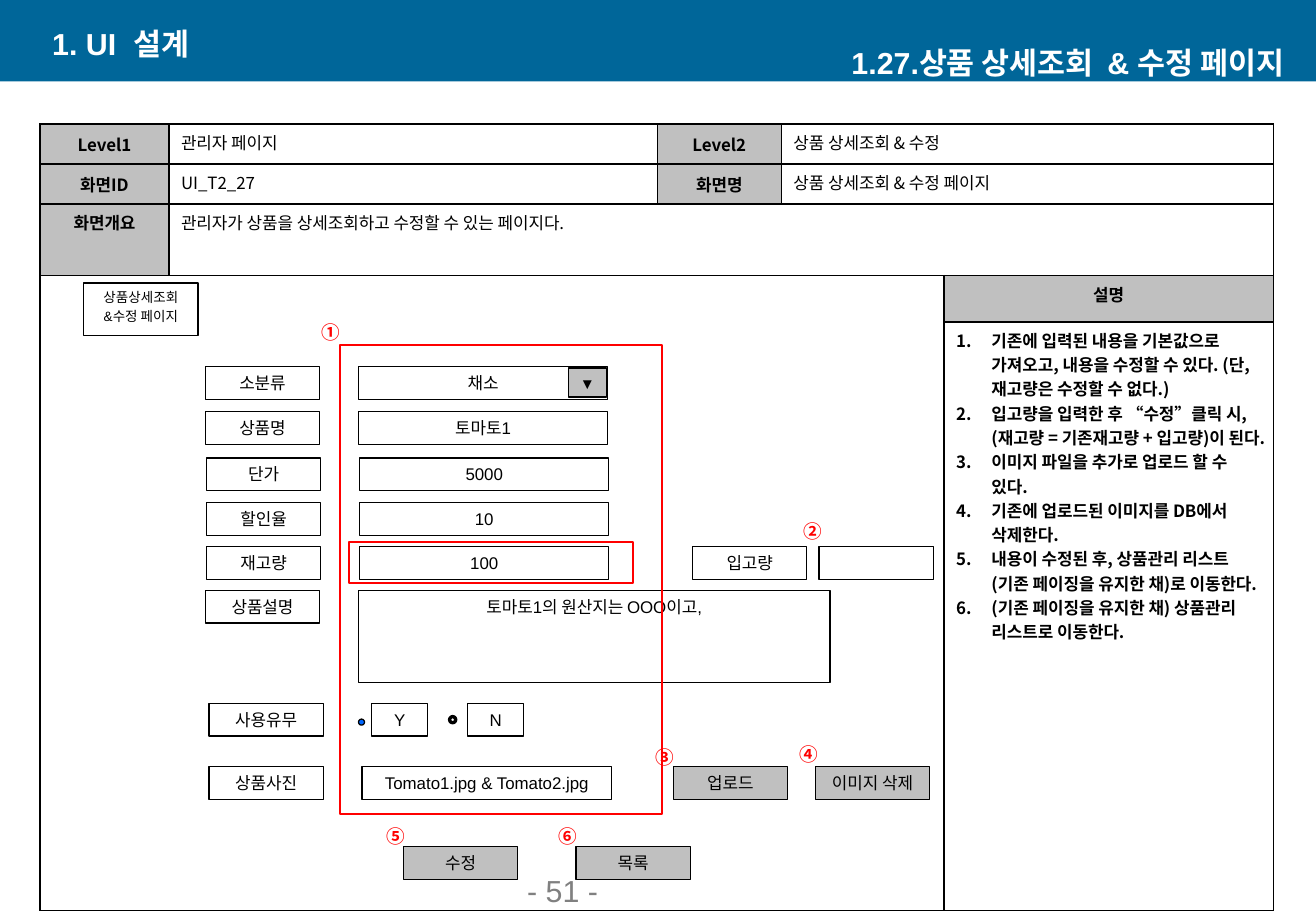
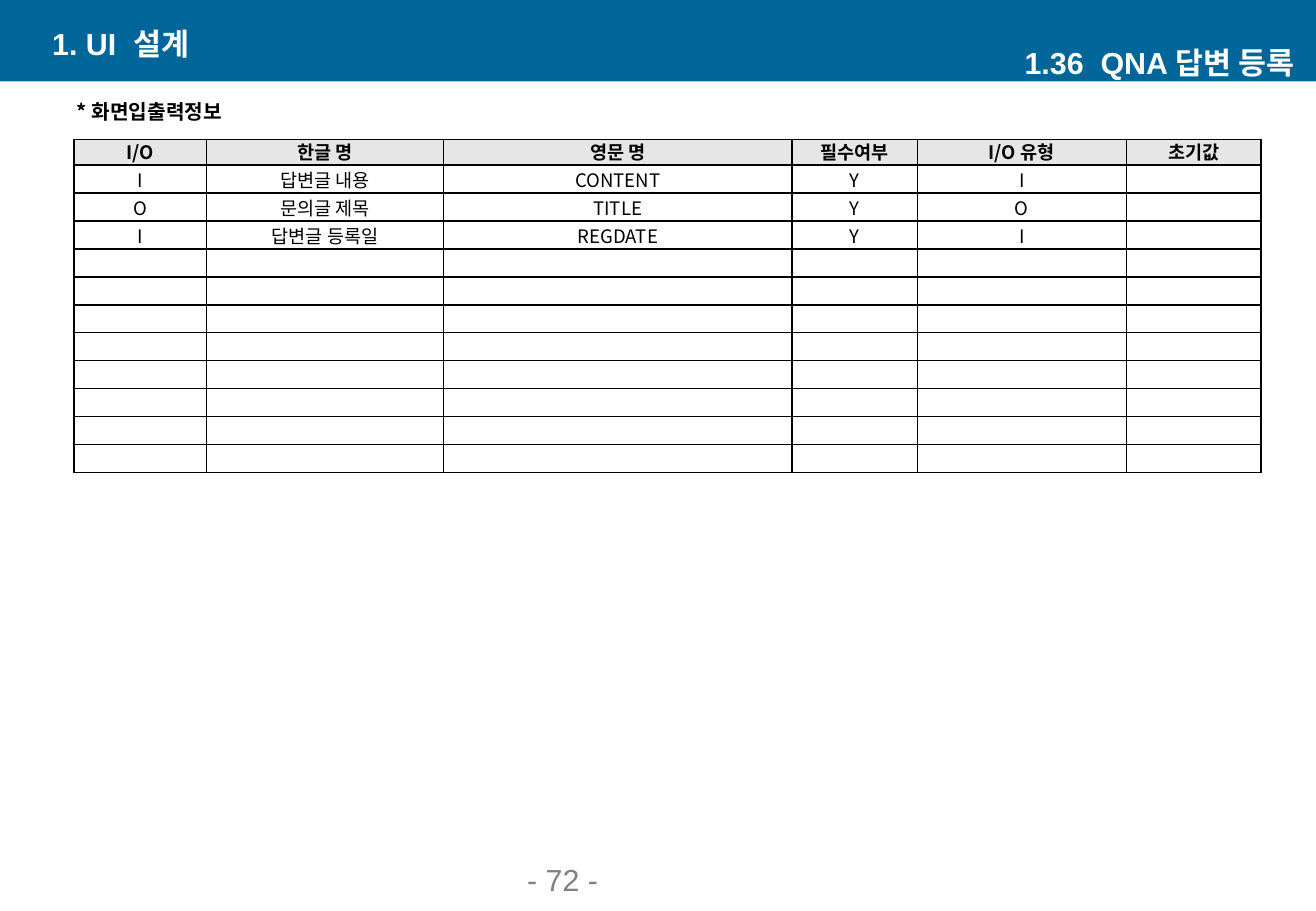
from lxml import etree
from pptx import Presentation
from pptx.dml.color import RGBColor
from pptx.enum.shapes import MSO_SHAPE
from pptx.enum.text import MSO_ANCHOR, MSO_AUTO_SIZE, PP_ALIGN
from pptx.oxml.ns import qn
from pptx.util import Inches, Pt

RECT, OVAL = MSO_SHAPE.RECTANGLE, MSO_SHAPE.OVAL
LEFT, CENTER, RIGHT = PP_ALIGN.LEFT, PP_ALIGN.CENTER, PP_ALIGN.RIGHT
TOP, MIDDLE, BOTTOM = MSO_ANCHOR.TOP, MSO_ANCHOR.MIDDLE, MSO_ANCHOR.BOTTOM
NO_AUTOFIT = MSO_AUTO_SIZE.NONE

ARIAL, NOTO = "Arial", "Noto Sans CJK KR"
BLUE, RED, BLACK, WHITE = "006699", "FF0000", "000000", "FFFFFF"
GRAY, PALE, PAGE_GRAY = "C0C0C0", "E6E6E6", "808080"
WIDTH, HEIGHT = 10.83, 7.5


def rgb(value):
    return RGBColor.from_string(value)


class Deck:
    """Holds the shared style and the slide being filled."""

    def __init__(self):
        self.prs = Presentation()
        self.prs.slide_width = Inches(WIDTH)
        self.prs.slide_height = Inches(HEIGHT)
        self.s = None

    def put_text(self, tf, lines, size=10, color=BLACK, bold=False, font=ARIAL,
                 numbered=False, **para):
        """Set lines as paragraphs; para holds paragraph attributes."""
        lines = [lines] if isinstance(lines, str) else lines
        for i, line in enumerate(lines):
            p = tf.paragraphs[0] if i == 0 else tf.add_paragraph()
            if numbered:
                pPr = p._p.get_or_add_pPr()
                pPr.set("marL", str(Inches(0.29)))
                pPr.set("indent", str(-Inches(0.29)))
                etree.SubElement(pPr, qn("a:buFont")).set("typeface", "+mj-lt")
                etree.SubElement(pPr, qn("a:buAutoNum")).set("type", "arabicPeriod")
            for name, value in para.items():
                if i or name != "space_before":
                    setattr(p, name, value)
            r = p.add_run()
            r.text = line
            for name, value in dict(size=Pt(size), bold=bold, name=font).items():
                setattr(r.font, name, value)
            r.font.color.rgb = rgb(color)
            etree.SubElement(r._r.get_or_add_rPr(), qn("a:ea")).set("typeface", NOTO)

    def frame(self, tf, anchor=TOP, wrap=True, margin_right=0.1):
        settings = dict(auto_size=NO_AUTOFIT, vertical_anchor=anchor, word_wrap=wrap,
                        margin_left=Inches(0.1), margin_right=Inches(margin_right),
                        margin_top=Inches(0.05), margin_bottom=Inches(0.05))
        for name, value in settings.items():
            setattr(tf, name, value)

    def shape(self, x, y, w, h, kind=RECT, fill=None, line=BLACK, weight=0.75):
        sp = self.s.shapes.add_shape(kind, Inches(x), Inches(y), Inches(w), Inches(h))
        sp.shadow.inherit = False
        if fill:
            sp.fill.solid()
            sp.fill.fore_color.rgb = rgb(fill)
        else:
            sp.fill.background()
        if line:
            sp.line.color.rgb = rgb(line)
            sp.line.width = Pt(weight)
        else:
            sp.line.fill.background()
        return sp

    def box(self, x, y, lines, w=0.94, h=0.27, fill=None, size=10, wrap=True):
        sp = self.shape(x, y, w, h, fill=fill)
        self.frame(sp.text_frame, wrap=wrap)
        self.put_text(sp.text_frame, lines, size, alignment=CENTER, space_before=Pt(2))

    def text(self, x, y, w, h, lines, anchor=TOP, wrap=True, margin_right=0.1, **fmt):
        sp = self.s.shapes.add_textbox(Inches(x), Inches(y), Inches(w), Inches(h))
        self.frame(sp.text_frame, anchor, wrap, margin_right)
        self.put_text(sp.text_frame, lines, **fmt)

    def marker(self, x, y, number):
        self.text(x, y, 0.34, 0.29, number, wrap=False, size=11, color=RED,
                  bold=True, font=NOTO, alignment=CENTER)

    def slide(self, subtitle, page, page_y, page_h, margin_right):
        """Start a slide with its band, title, subtitle and page number."""
        self.s = self.prs.slides.add_slide(self.prs.slide_layouts[5])
        band = self.shape(0, 0, WIDTH, 0.67, fill=BLUE, line=None)
        self.s.shapes._spTree.insert(2, band._element)
        heading = dict(size=18, color=WHITE, bold=True)
        title = self.s.shapes.title
        title.left, title.top = Inches(0.33), Inches(0.19)
        title.width, title.height = Inches(4.38), Inches(0.33)
        self.frame(title.text_frame, MIDDLE)
        self.put_text(title.text_frame, "1. UI  설계", alignment=LEFT, **heading)
        self.text(6.45, 0.35, 4.38, 0.33, subtitle, MIDDLE, alignment=RIGHT,
                  margin_right=margin_right, **heading)
        self.text(4.24, page_y, 2.26, page_h, f"- {page} -", BOTTOM,
                  size=18, color=PAGE_GRAY)

    def table(self, x, y, widths, heights, size, pads):
        """Add an empty ruled table; pads are the side and top cell margins."""
        table = self.s.shapes.add_table(
            len(heights), len(widths), Inches(x), Inches(y),
            Inches(sum(widths)), Inches(sum(heights))).table
        table.first_row = table.horz_banding = False
        for col, w in zip(table.columns, widths):
            col.width = Inches(w)
        for row, h in zip(table.rows, heights):
            row.height = Inches(h)
        side, top = (Inches(pad) for pad in pads)
        for c in table.iter_cells():
            c.margin_left = c.margin_right = side
            c.margin_top = c.margin_bottom = top
            tcPr = c._tc.get_or_add_tcPr()
            for edge in ("lnL", "lnR", "lnT", "lnB"):
                ln = etree.SubElement(tcPr, qn(f"a:{edge}"), w=str(Pt(1)))
                fill = etree.SubElement(ln, qn("a:solidFill"))
                etree.SubElement(fill, qn("a:srgbClr")).set("val", BLACK)
            c.fill.background()
            end = etree.SubElement(c.text_frame.paragraphs[0]._p, qn("a:endParaRPr"))
            end.set("sz", str(size * 100))
            for script in ("latin", "ea"):
                etree.SubElement(end, qn(f"a:{script}")).set("typeface", NOTO)
        return table

    def cell(self, c, lines, fill=None, anchor=TOP, **fmt):
        c.vertical_anchor = anchor
        if fill:
            c.fill.solid()
            c.fill.fore_color.rgb = rgb(fill)
        self.put_text(c.text_frame, lines, font=NOTO, **fmt)


def product_slide(d):
    d.slide("1.27.상품 상세조회  & 수정 페이지", 51, 7.3, 0.23, 0.26)

    # Screen specification table
    t = d.table(0.33, 1.02, [1.06, 4.02, 1.02, 1.34, 2.71],
                [0.33, 0.33, 0.59, 0.38, 4.85], 10, (0.1, 0.05))
    for first, last in [((0, 3), (0, 4)), ((1, 3), (1, 4)),
                        ((2, 1), (2, 4)), ((3, 0), (4, 3))]:
        t.cell(*first).merge(t.cell(*last))
    heads = {(0, 0): "Level1", (0, 2): "Level2", (1, 0): "화면ID",
             (1, 2): "화면명", (2, 0): "화면개요", (3, 4): "설명"}
    for (row, col), head in heads.items():
        d.cell(t.cell(row, col), head, GRAY, MIDDLE if row < 2 else TOP,
               bold=True, alignment=CENTER)
    values = {(0, 1): "관리자 페이지", (0, 3): "상품 상세조회 & 수정",
              (1, 1): "UI_T2_27", (1, 3): "상품 상세조회 & 수정 페이지",
              (2, 1): "관리자가 상품을 상세조회하고 수정할 수 있는 페이지다."}
    for (row, col), value in values.items():
        d.cell(t.cell(row, col), value)
    d.cell(t.cell(4, 4), [
        "기존에 입력된 내용을 기본값으로 가져오고, 내용을 수정할 수 있다. (단, 재고량은 수정할 수 없다.)",
        "입고량을 입력한 후 “수정”클릭 시, (재고량 = 기존재고량 + 입고량)이 된다.",
        "이미지 파일을 추가로 업로드 할 수 있다.",
        "기존에 업로드된 이미지를 DB에서 삭제한다.",
        "내용이 수정된 후, 상품관리 리스트(기존 페이징을 유지한 채)로 이동한다.",
        "(기존 페이징을 유지한 채) 상품관리 리스트로 이동한다.",
    ], bold=True, numbered=True)

    # Form labels with their values
    d.box(0.69, 2.33, ["상품상세조회", "&수정 페이지"], h=0.43, size=8)
    fields = [(1.69, 3.02, "소분류", "채소"), (1.69, 3.39, "상품명", "토마토1"),
              (1.7, 3.77, "단가", "5000"), (1.7, 4.14, "할인율", "10"),
              (1.7, 4.5, "재고량", "100"),
              (1.72, 6.31, "상품사진", "Tomato1.jpg & Tomato2.jpg")]
    for x, y, label, value in fields:
        d.box(x, y, label)
        d.box(x + 1.26, y, value, w=2.05)
    d.box(4.68, 3.03, "▼", w=0.31, h=0.24, fill=GRAY, size=9, wrap=False)
    d.box(1.69, 4.86, "상품설명")
    d.box(2.95, 4.86, "토마토1의 원산지는 OOO이고,", w=3.88, h=0.76)
    d.box(5.7, 4.5, "입고량")
    d.shape(6.74, 4.5, 0.94, 0.27)

    # Use choice
    d.box(1.72, 5.79, "사용유무")
    for x, choice in [(3.06, "Y"), (3.85, "N")]:
        d.box(x, 5.79, choice, w=0.46)
    d.shape(2.95, 5.92, 0.05, 0.05, OVAL, fill="0066FF")
    d.shape(3.7, 5.9, 0.05, 0.05, OVAL, fill=WHITE, weight=2)

    # Buttons
    for x, y, label in [(5.54, 6.31, "업로드"), (6.71, 6.31, "이미지 삭제"),
                        (3.32, 6.97, "수정"), (4.74, 6.97, "목록")]:
        d.box(x, y, label, fill=GRAY)

    # Red outlines and numbers
    for area in [(2.8, 2.84, 2.65, 3.86), (2.87, 4.46, 2.34, 0.34)]:
        d.shape(*area, line=RED, weight=1)
    for x, y, number in [(2.55, 2.59, "①"), (6.52, 4.23, "②"), (5.3, 6.09, "③"),
                         (6.49, 6.07, "④"), (3.09, 6.74, "⑤"), (4.5, 6.74, "⑥")]:
        d.marker(x, y, number)


def answer_slide(d):
    d.slide("1.36  QNA 답변 등록", 72, 7.13, 0.31, 0.18)
    d.text(0.47, 0.77, 1.52, 0.29, "* 화면입출력정보", wrap=False, size=12,
           bold=True, font=NOTO, alignment=CENTER)

    # Input and output table
    t = d.table(0.61, 1.15, [1.09, 1.95, 2.87, 1.03, 1.72, 1.11],
                [0.21] + [0.23] * 11, 11, (0.01, 0))
    heads = ["I/O", "한글 명", "영문 명", "필수여부", "I/O 유형", "초기값"]
    for col, head in enumerate(heads):
        d.cell(t.cell(0, col), head, PALE, MIDDLE, size=11, bold=True,
               alignment=CENTER, line_spacing=Pt(14))
    items = [("I", "답변글 내용", "CONTENT", "Y", "I"),
             ("O", "문의글 제목", "TITLE", "Y", "O"),
             ("I", "답변글 등록일", "REGDATE", "Y", "I")]
    for row, item in enumerate(items, 1):
        for col, value in enumerate(item):
            d.cell(t.cell(row, col), value, anchor=MIDDLE, size=11, alignment=CENTER)


def main():
    d = Deck()
    product_slide(d)
    answer_slide(d)
    d.prs.save("out.pptx")


if __name__ == "__main__":
    main()
